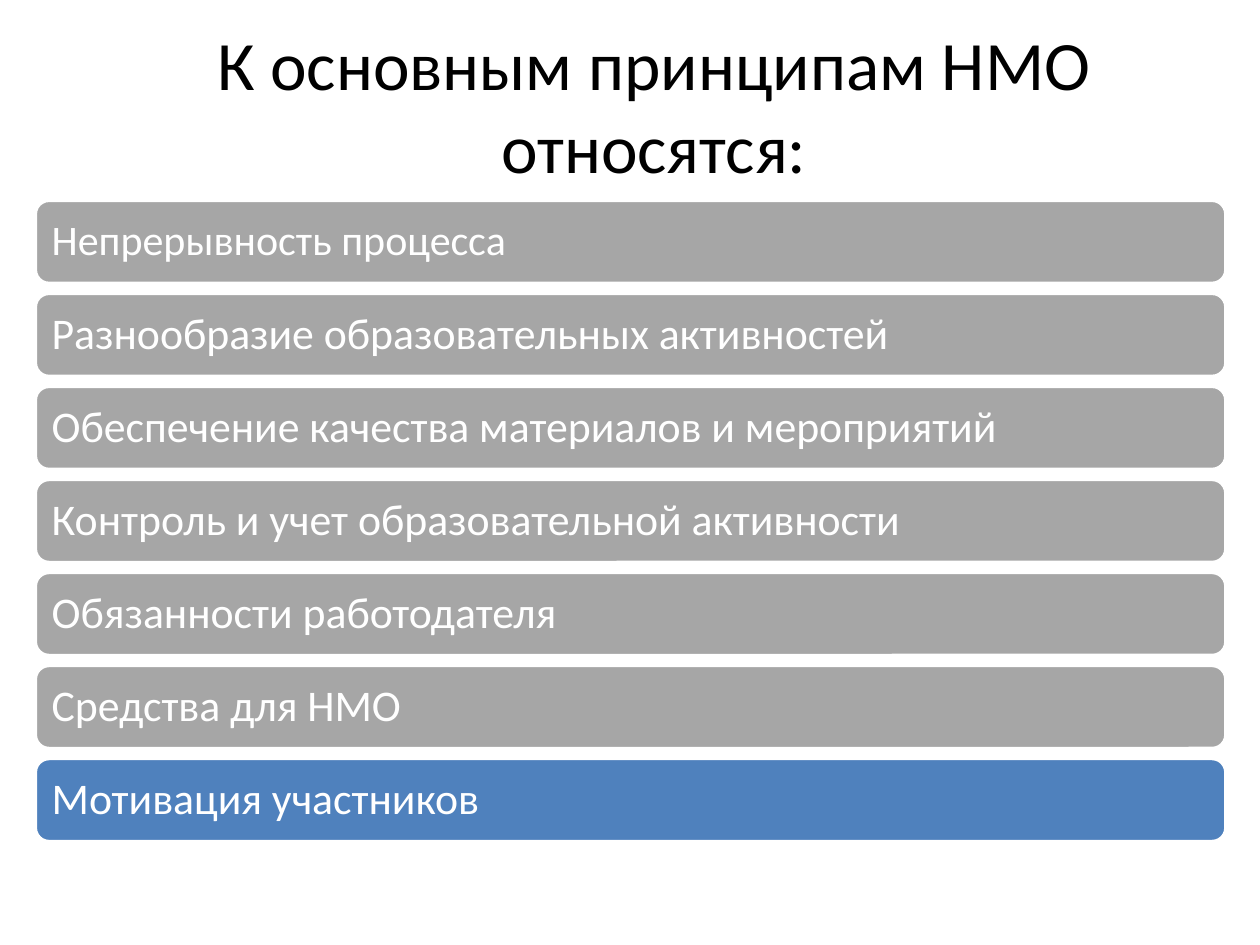
from dataclasses import dataclass

from pptx import Presentation
from pptx.dml.color import RGBColor as Color
from pptx.enum.shapes import MSO_SHAPE as Shape
from pptx.enum.text import MSO_ANCHOR as Anchor, MSO_AUTO_SIZE as AutoSize, PP_ALIGN as Align
from pptx.util import Inches, Pt


@dataclass(frozen=True)
class Theme:
    font: str = "Calibri"
    dark: str = "000000"
    light: str = "FFFFFF"
    muted: str = "A6A6A6"
    accent: str = "4F81BD"
    title_size: float = 39.6
    first_size: float = 24
    item_size: float = 25
    outline: float = 2


@dataclass(frozen=True)
class BarGrid:
    left: float = 0.28
    top: float = 1.59
    width: float = 9.45
    height: float = 0.66
    last_top: float = 6.02

    def row_top(self, row, rows):
        return self.top + row * (self.last_top - self.top) / (rows - 1)


class SlideBuilder:
    def __init__(self, presentation, theme, grid):
        self.theme = theme
        self.grid = grid
        layout = presentation.slide_layouts.get_by_name("Title Only")
        self.slide = presentation.slides.add_slide(layout)

    def set_text(self, shape, text, size, color, align, insets):
        frame = shape.text_frame
        frame.text = text
        frame.word_wrap = True
        frame.auto_size = AutoSize.NONE
        frame.vertical_anchor = Anchor.MIDDLE
        frame.margin_left, frame.margin_top, frame.margin_right, frame.margin_bottom = map(Inches, insets)
        paragraph = frame.paragraphs[0]
        paragraph.alignment = align
        font = paragraph.runs[0].font
        font.name = self.theme.font
        font.size = Pt(size)
        font.color.rgb = Color.from_string(color)
        return paragraph

    def title(self, text):
        shape = self.slide.shapes.title
        shape.left, shape.top = Inches(0.5), Inches(0.68)
        shape.width, shape.height = Inches(9.38), Inches(0.87)
        self.set_text(shape, text, self.theme.title_size, self.theme.dark,
                      Align.CENTER, (0.1, 0.05, 0.1, 0.62))

    def bar(self, row, rows, text, fill, size):
        grid = self.grid
        shape = self.slide.shapes.add_shape(
            Shape.ROUNDED_RECTANGLE, Inches(grid.left), Inches(grid.row_top(row, rows)),
            Inches(grid.width), Inches(grid.height))
        shape.shadow.inherit = False
        shape.fill.solid()
        shape.fill.fore_color.rgb = Color.from_string(fill)
        shape.line.color.rgb = Color.from_string(self.theme.light)
        shape.line.width = Pt(self.theme.outline)
        paragraph = self.set_text(shape, text, size, self.theme.light, Align.LEFT, (0.1,) * 4)
        paragraph.line_spacing = 0.9

    def bars(self, items):
        theme = self.theme
        for row, text in enumerate(items):
            fill = theme.accent if row == len(items) - 1 else theme.muted
            size = theme.first_size if row == 0 else theme.item_size
            self.bar(row, len(items), text, fill, size)


def main():
    presentation = Presentation()
    presentation.slide_width = Inches(10)
    presentation.slide_height = Inches(7.5)
    builder = SlideBuilder(presentation, Theme(), BarGrid())
    builder.title("К основным принципам НМО относятся:")
    builder.bars([
        "Непрерывность процесса",
        "Разнообразие образовательных активностей",
        "Обеспечение качества материалов и мероприятий",
        "Контроль и учет образовательной активности",
        "Обязанности работодателя",
        "Средства для НМО",
        "Мотивация участников",
    ])
    presentation.save("out.pptx")


if __name__ == "__main__":
    main()
